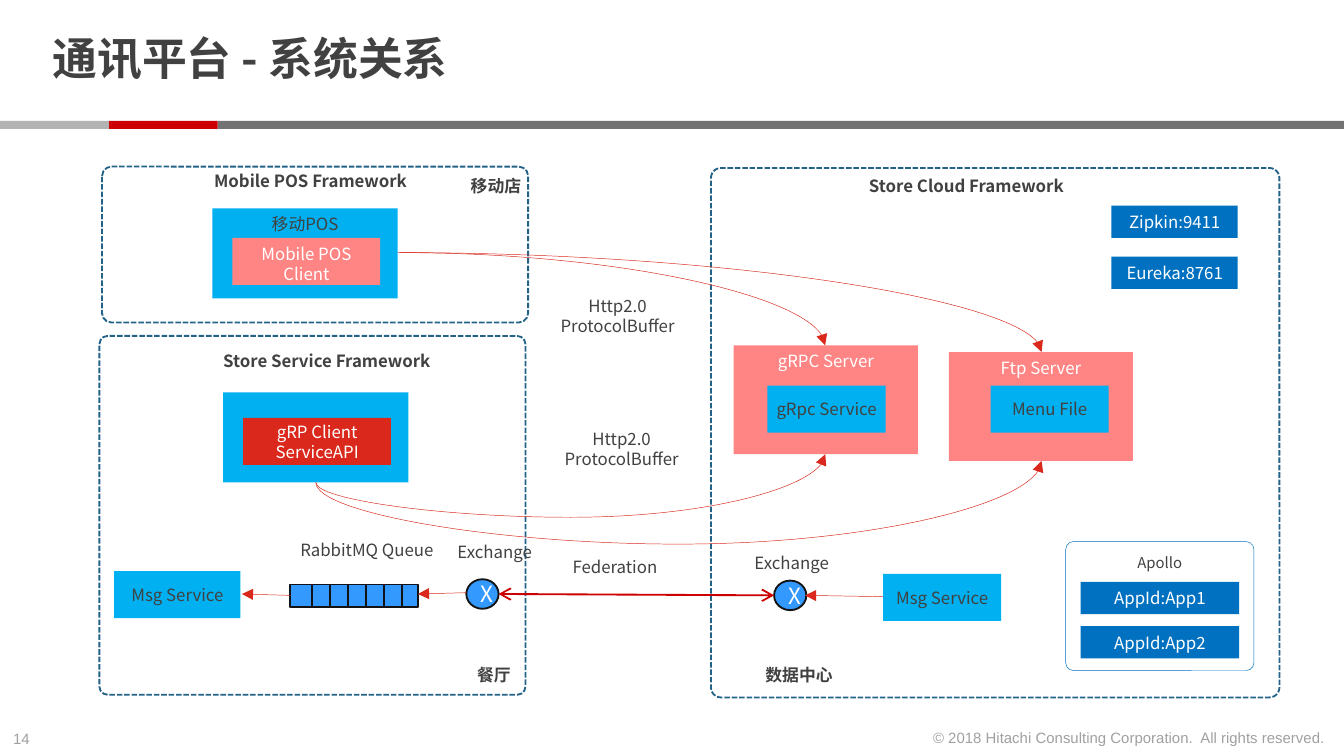
"""Build the communication platform system relationship slide."""
import pptx
import pptx.dml.color
import pptx.enum.dml
import pptx.enum.shapes
import pptx.enum.text
import pptx.oxml.ns
import pptx.util
from lxml import etree
from pptx.util import Inches

RGBColor = pptx.dml.color.RGBColor
WHITE = RGBColor(0xFF, 0xFF, 0xFF)
TEXT = RGBColor(0x41, 0x41, 0x41)
FOOTER = RGBColor(0xA0, 0xA0, 0xA0)
BLACK = RGBColor(0x14, 0x13, 0x13)
DARK_GREY = RGBColor(0x73, 0x73, 0x73)
LIGHT_GREY = RGBColor(0xB3, 0xB3, 0xB3)
CRIMSON = RGBColor(0xCC, 0x00, 0x00)
RED = RGBColor(0xDA, 0x29, 0x1C)
PINK = RGBColor(0xFF, 0x85, 0x85)
SKY = RGBColor(0x00, 0xB0, 0xF0)
BLUE = RGBColor(0x00, 0x70, 0xC0)
QUEUE_BLUE = RGBColor(0x33, 0x99, 0xFF)
FRAME_BLUE = RGBColor(0x24, 0x63, 0x88)

SLIDE_WIDTH = Inches(10)
SLIDE_HEIGHT = SLIDE_WIDTH * 9 // 16
SANS = "Noto Sans CJK SC"
SHAPE = pptx.enum.shapes.MSO_SHAPE
CONNECTOR = pptx.enum.shapes.MSO_CONNECTOR
ANCHOR = pptx.enum.text.MSO_ANCHOR
ALIGN = pptx.enum.text.PP_ALIGN
AUTO_SIZE = pptx.enum.text.MSO_AUTO_SIZE
DASH = pptx.enum.dml.MSO_LINE.SQUARE_DOT
MARGINS = {f"margin_{side}": Inches(0.04) for side in ("left", "right", "top", "bottom")}


def apply_format(target, values):
    for name, value in values.items():
        setattr(target, name, value)


def write_text(shape, text, color, size=9, bold=False, name=SANS, align=ALIGN.CENTER, frame=None):
    text_frame = shape.text_frame
    text_frame.text = text
    apply_format(text_frame, frame or {})
    for paragraph in text_frame.paragraphs:
        paragraph.alignment = align
        for run in paragraph.runs:
            run.font.color.rgb = color
            apply_format(run.font, {"size": pptx.util.Pt(size), "bold": bold, "name": name})
            east_asian = etree.SubElement(run._r.get_or_add_rPr(), pptx.oxml.ns.qn("a:ea"))
            east_asian.set("typeface", name)


def add_shape(slide, kind, position, fill=None, line=None, width=1, radius=None, dash=None):
    shape = slide.shapes.add_shape(kind, *map(Inches, position))
    shape.shadow.inherit = False
    if fill is None:
        shape.fill.background()
    else:
        shape.fill.solid()
        shape.fill.fore_color.rgb = fill
    if line is None:
        shape.line.fill.background()
    else:
        shape.line.color.rgb = line
        apply_format(shape.line, {"width": pptx.util.Pt(width), "dash_style": dash})
    if radius is not None:
        shape.adjustments[0] = radius
    return shape


def add_box(slide, position, fill, text, color=WHITE, anchor=ANCHOR.MIDDLE):
    shape = add_shape(slide, SHAPE.RECTANGLE, position, fill)
    frame = {"word_wrap": True, "vertical_anchor": anchor, **MARGINS}
    write_text(shape, text, color, frame=frame)


def add_label(slide, position, text, color=TEXT, **style):
    label = slide.shapes.add_textbox(*map(Inches, position))
    frame = {"word_wrap": False, "auto_size": AUTO_SIZE.SHAPE_TO_FIT_TEXT}
    write_text(label, text, color, frame=frame, **style)


def add_exchange(slide, left, top):
    circle = add_shape(slide, SHAPE.OVAL, (left, top, 0.24, 0.22), QUEUE_BLUE, BLACK)
    write_text(circle, "X", WHITE, 12, frame={"vertical_anchor": ANCHOR.MIDDLE, "word_wrap": True})


def add_line(slide, start, end, color=RED, width=0.25, head=None, tail=None, kind=CONNECTOR.STRAIGHT):
    connector = slide.shapes.add_connector(kind, *map(Inches, start + end))
    connector.line.color.rgb = color
    connector.line.width = pptx.util.Pt(width)
    outline = connector.line._get_or_add_ln()
    for tag, arrow in (("a:headEnd", head), ("a:tailEnd", tail)):
        if arrow:
            etree.SubElement(outline, pptx.oxml.ns.qn(tag)).set("type", arrow)
    etree.SubElement(connector._element.spPr, pptx.oxml.ns.qn("a:effectLst"))
    return connector


def add_curve(slide, start, end, bend=None):
    connector = add_line(slide, start, end, tail="triangle", kind=CONNECTOR.CURVE)
    properties = connector._element.spPr
    geometry = properties.find(pptx.oxml.ns.qn("a:prstGeom"))
    if bend is None:
        geometry.set("prst", "curvedConnector2")
        return
    width, height = start[1] - end[1], end[0] - start[0]
    left, top = (start[0] + end[0] - width) / 2, (start[1] + end[1] - height) / 2
    place = {"left": left, "top": top, "width": width, "height": height}
    apply_format(connector, {name: Inches(value) for name, value in place.items()})
    transform = properties.find(pptx.oxml.ns.qn("a:xfrm"))
    for name, value in {"rot": "5400000", "flipH": "1", "flipV": "1"}.items():
        transform.set(name, value)
    guides = geometry.find(pptx.oxml.ns.qn("a:avLst"))
    if guides is None:
        guides = etree.SubElement(geometry, pptx.oxml.ns.qn("a:avLst"))
    guide = etree.SubElement(guides, pptx.oxml.ns.qn("a:gd"))
    guide.set("name", "adj1")
    guide.set("fmla", f"val {round(-bend / width * 100000)}")


def add_title(slide, text):
    title = slide.shapes.title
    place = {"left": 0.29, "top": 0.06, "width": 7.71, "height": 0.8}
    apply_format(title, {name: Inches(value) for name, value in place.items()})
    frame = {"vertical_anchor": ANCHOR.MIDDLE, "margin_left": Inches(0.1), "margin_right": Inches(0.1),
             "margin_top": 0, "margin_bottom": 0, "word_wrap": True, "auto_size": AUTO_SIZE.NONE}
    write_text(title, text, TEXT, 24, True, align=ALIGN.LEFT, frame=frame)
    title.text_frame.paragraphs[0].line_spacing = 0.85


def add_queue(slide):
    add_shape(slide, SHAPE.RECTANGLE, (2.16, 4.35, 0.95, 0.17), QUEUE_BLUE, BLACK)
    for index in range(6):
        x = 2.32 + 0.134 * index
        add_line(slide, (x, 4.35), (x, 4.51), BLACK, 1)


def add_page_furniture(slide):
    for left, width, color in ((1.62, 8.38, DARK_GREY), (0.81, 0.81, CRIMSON), (0, 0.81, LIGHT_GREY)):
        add_shape(slide, SHAPE.RECTANGLE, (left, 0.9, width, 0.06), color)
    add_label(slide, (0, 5.38, 0.34, 0.24), "14", FOOTER, size=8, name="Arial", align=ALIGN.LEFT)
    add_label(slide, (6.8, 5.37, 3.16, 0.24), "© 2018 Hitachi Consulting Corporation.  All rights reserved.",
              FOOTER, size=8, name="Arial", align=ALIGN.RIGHT)


def add_frames(slide):
    for position, radius in (((5.29, 1.25, 4.23, 3.94), 0.019), ((0.74, 2.5, 3.17, 2.67), 0.023),
                             ((0.76, 1.24, 3.17, 1.16), 0.06)):
        add_shape(slide, SHAPE.ROUNDED_RECTANGLE, position, line=FRAME_BLUE, radius=radius, dash=DASH)
    add_shape(slide, SHAPE.ROUNDED_RECTANGLE, (7.93, 4.03, 1.4, 0.96), line=BLUE, width=0.25, radius=0.06)


def add_components(slide):
    add_box(slide, (5.46, 2.57, 1.37, 0.81), PINK, "gRPC Server", anchor=ANCHOR.TOP)
    add_box(slide, (7.06, 2.62, 1.37, 0.81), PINK, "Ftp Server", anchor=ANCHOR.TOP)
    add_box(slide, (1.58, 1.55, 1.38, 0.67), SKY, "移动POS", TEXT, ANCHOR.TOP)
    add_box(slide, (1.73, 1.77, 1.1, 0.35), PINK, "Mobile POS Client", anchor=ANCHOR.TOP)
    add_shape(slide, SHAPE.RECTANGLE, (1.66, 2.92, 1.38, 0.67), SKY)
    add_box(slide, (1.81, 3.11, 1.1, 0.35), RED, "gRP Client\nServiceAPI")
    for left, top, width, text in ((0.85, 4.25, 0.94, "Msg Service"), (6.57, 4.27, 0.88, "Msg Service"),
                                   (5.71, 2.87, 0.88, "gRpc Service"), (7.37, 2.87, 0.88, "Menu File")):
        add_box(slide, (left, top, width, 0.35), SKY, text, TEXT)
    for left, top, width, text in ((8.27, 1.53, 0.94, "Zipkin:9411"), (8.27, 1.91, 0.94, "Eureka:8761"),
                                   (8.04, 4.33, 1.18, "AppId:App1"), (8.04, 4.66, 1.18, "AppId:App2")):
        add_box(slide, (left, top, width, 0.24), BLUE, text)
    add_queue(slide)
    add_exchange(slide, 3.47, 4.31)
    add_exchange(slide, 5.76, 4.32)


def add_labels(slide):
    for left, top, width, text in ((1.54, 2.56, 1.78, "Store Service Framework"),
                                   (6.31, 1.26, 1.76, "Store Cloud Framework"),
                                   (1.46, 1.22, 1.7, "Mobile POS Framework"), (3.4, 1.26, 0.58, "移动店"),
                                   (3.45, 4.9, 0.45, "餐厅"), (5.59, 4.9, 0.71, "数据中心")):
        add_label(slide, (left, top, width, 0.25), text, bold=True)
    for left, top, width, text in ((4.15, 4.09, 0.85, "Federation"), (3.29, 3.98, 0.78, "Exchange"),
                                   (5.5, 4.06, 0.78, "Exchange"), (2.1, 3.97, 1.26, "RabbitMQ Queue")):
        add_label(slide, (left, top, width, 0.25), text)
    for left, top in ((4.06, 2.15), (4.09, 3.14)):
        add_label(slide, (left, top, 1.07, 0.4), "Http2.0\nProtocolBuffer")
    add_label(slide, (8.35, 4.07, 0.56, 0.24), "Apollo", size=8)


def add_links(slide):
    for start, end in (((3.11, 4.42), (3.47, 4.41)), ((1.8, 4.42), (2.16, 4.43)), ((5.99, 4.43), (6.57, 4.44))):
        add_line(slide, start, end, head="triangle")
    add_line(slide, (3.71, 4.42), (5.76, 4.43), CRIMSON, 1, "arrow", "arrow")
    add_curve(slide, (2.96, 1.88), (7.75, 2.62))
    add_curve(slide, (2.98, 1.88), (6.14, 2.57))
    add_curve(slide, (2.35, 3.59), (7.75, 3.43), 0.46)
    add_curve(slide, (2.35, 3.59), (6.14, 3.38), 0.26)


def main():
    presentation = pptx.Presentation()
    apply_format(presentation, {"slide_width": SLIDE_WIDTH, "slide_height": SLIDE_HEIGHT})
    slide = presentation.slides.add_slide(presentation.slide_layouts[5])
    add_page_furniture(slide)
    add_title(slide, "通讯平台 - 系统关系")
    add_frames(slide)
    add_components(slide)
    add_labels(slide)
    add_links(slide)
    presentation.save("out.pptx")


if __name__ == "__main__":
    main()
